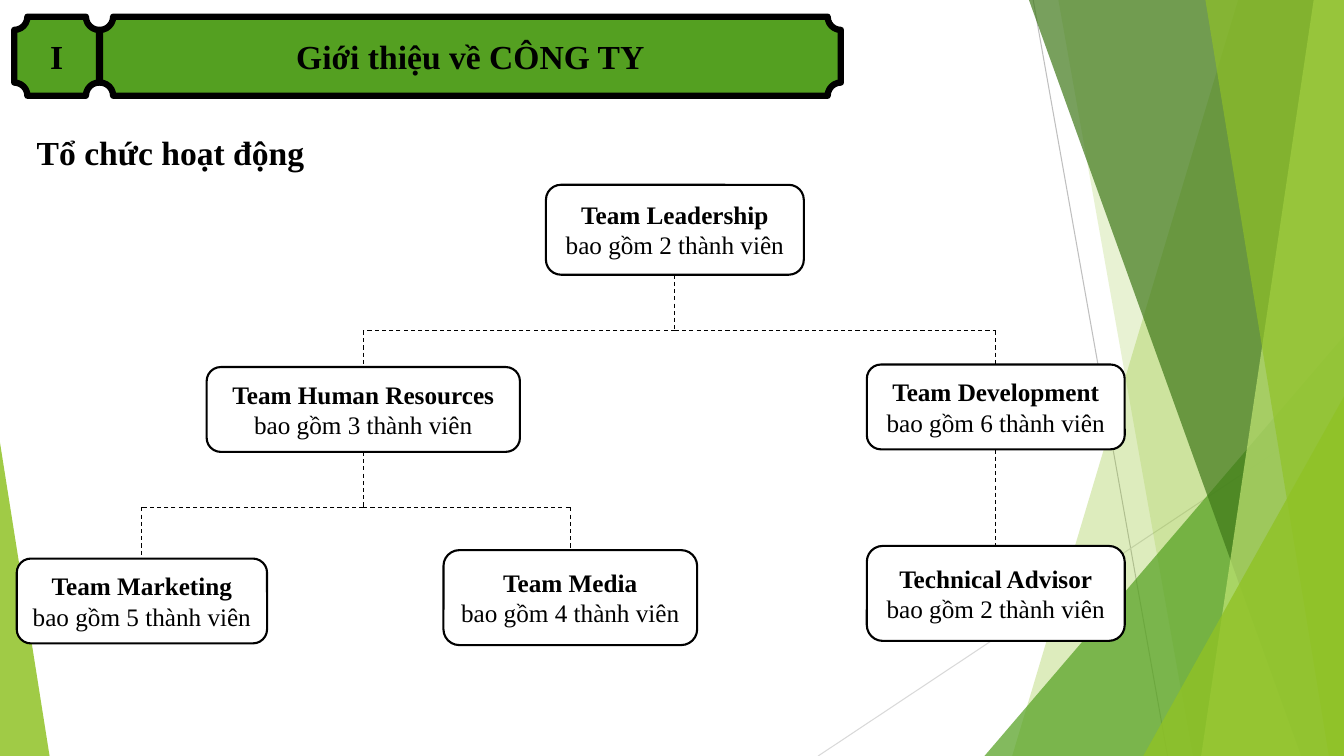
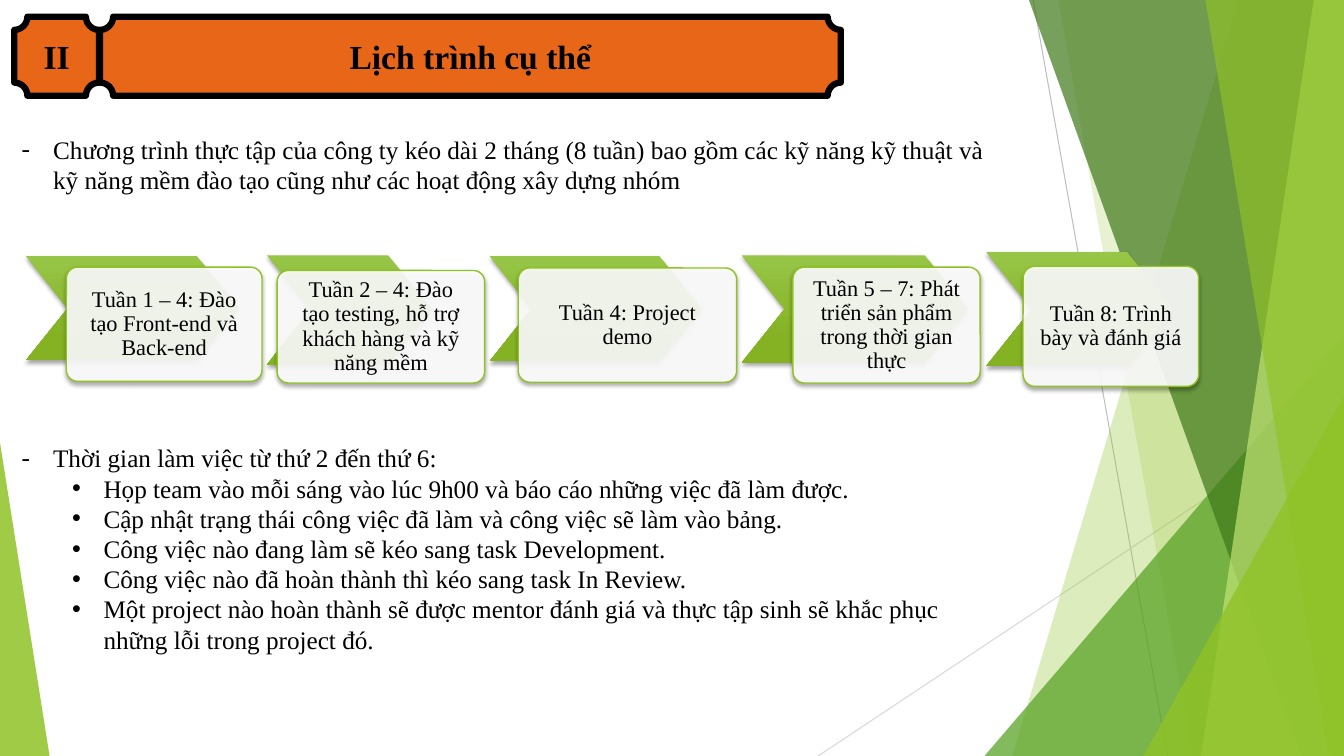
"""Build the two slides that introduce the organisation and its internship schedule."""
from lxml import etree
from pptx import Presentation
from pptx import util as u
from pptx.dml.color import RGBColor
from pptx.enum import dml, shapes, text
from pptx.oxml.ns import qn

COLUMNS, ROWS = 160, 90
CELL = u.Pt(6)
FONT = "Times New Roman"
COLORS = {
    "black": "000000",
    "white": "FFFFFF",
    "lime": "90C226",
    "green": "54A021",
    "forest": "3F7819",
    "pale": "C0E474",
    "orange": "E76618",
    "gray": "BFBFBF",
    "silver": "D9D9D9",
    "chevron_top": "97C547",
    "chevron_bottom": "84B223",
}

TEAMS = {
    "Team Leadership": ("bao gồm 2 thành viên", (65, 22, 30.7, 10.7)),
    "Team Human Resources": ("bao gồm 3 thành viên", (24.6, 43.7, 37.3, 10.1)),
    "Team Development": ("bao gồm 6 thành viên", (103.2, 43.4, 30.7, 10.1)),
    "Team Marketing": ("bao gồm 5 thành viên", (2, 66.5, 29.8, 10.1)),
    "Team Media": ("bao gồm 4 thành viên", (52.8, 65.5, 30.2, 11.3)),
    "Technical Advisor": ("bao gồm 2 thành viên", (103.2, 65, 30.7, 11.3)),
}

STEPS = [
    ("Tuần 1 – 4: Đào tạo Front-end và Back-end",
     (3.1, 30.5, 25.3, 12.4), (7.9, 31.8, 23.3, 13.6)),
    ("Tuần 2 – 4: Đào tạo testing, hỗ trợ khách hàng và kỹ năng mềm",
     (31.8, 30.4, 19.6, 13), (33, 32.2, 24.7, 13.4)),
    ("Tuần 4: Project demo",
     (58.3, 30.5, 25.2, 12.5), (61.7, 31.9, 26, 13.6)),
    ("Tuần 5 – 7: Phát triển sản phẩm trong thời gian thực",
     (88.3, 30.4, 26.9, 12.8), (94.4, 31.8, 22.3, 13.8)),
    ("Tuần 8: Trình bày và đánh giá",
     (117.4, 30, 22.2, 13.6), (121.8, 31.7, 20.9, 14.3)),
]

PROGRAM = [
    ("Chương trình thực tập của công ty kéo dài 2 tháng (8 tuần) bao gồm các kỹ năng "
     "kỹ thuật và kỹ năng mềm đào tạo cũng như các hoạt động xây dựng nhóm", 0),
]
WORKING_WEEK = [
    ("Thời gian làm việc từ thứ 2 đến thứ 6:", 0),
    ("Họp team vào mỗi sáng vào lúc 9h00 và báo cáo những việc đã làm được.", 1),
    ("Cập nhật trạng thái công việc đã làm và công việc sẽ làm vào bảng.", 1),
    ("Công việc nào đang làm sẽ kéo sang task Development.", 1),
    ("Công việc nào đã hoàn thành thì kéo sang task In Review.", 1),
    ("Một project nào hoàn thành sẽ được mentor đánh giá và thực tập sinh sẽ "
     "khắc phục những lỗi trong project đó.", 1),
]
BULLETS = [("-", FONT, 3.75), ("•", "Arial", 9.75)]
HANGING = 3.75


def grid(*cells):
    """Turn grid cells into slide lengths."""
    return [u.Emu(round(cell * CELL)) for cell in cells]


def rgb(name):
    """Look up a named colour."""
    return RGBColor.from_string(COLORS[name])


def paint(shape, fill, line=None, width=1, opacity=100):
    """Give a shape a flat fill, an optional outline and no shadow."""
    shape.shadow.inherit = False
    shape.fill.solid()
    shape.fill.fore_color.rgb = rgb(fill)
    if opacity < 100:
        color = shape.element.spPr.find(qn("a:solidFill"))[0]
        etree.SubElement(color, qn("a:alpha"), val=str(opacity * 1000))
    if line:
        shape.line.color.rgb = rgb(line)
        shape.line.width = u.Pt(width)
    else:
        shape.line.fill.background()


def cast_shadow(shape):
    """Add a soft shadow straight below a shape."""
    effects = shape.element.spPr.find(qn("a:effectLst"))
    shadow = etree.SubElement(effects, qn("a:outerShdw"), blurRad=str(u.Pt(3)),
                              dist=str(u.Pt(2)), dir="5400000", rotWithShape="0")
    color = etree.SubElement(shadow, qn("a:srgbClr"), val=COLORS["black"])
    etree.SubElement(color, qn("a:alpha"), val="35000")


def add_preset(slide, kind, box, adjustment=None):
    """Add a preset shape on the grid."""
    shape = slide.shapes.add_shape(kind, *grid(*box))
    if adjustment is not None:
        shape.adjustments[0] = adjustment
    return shape


def write(paragraph, words, size, bold=False, align=text.PP_ALIGN.LEFT):
    """Fill a paragraph and format its runs."""
    paragraph.text = words
    paragraph.alignment = align
    for run in paragraph.runs:
        run.font.name = FONT
        run.font.size = u.Pt(size)
        run.font.bold = bold
        run.font.color.rgb = rgb("black")


def write_centred(shape, lines, size):
    """Centre (words, bold) lines in a shape."""
    frame = shape.text_frame
    frame.word_wrap = True
    frame.vertical_anchor = text.MSO_ANCHOR.MIDDLE
    for index, (words, bold) in enumerate(lines):
        paragraph = frame.add_paragraph() if index else frame.paragraphs[0]
        write(paragraph, words, size, bold, text.PP_ALIGN.CENTER)


def add_line(slide, start, end, color, dashed=False):
    """Draw a thin straight line between two points."""
    line = slide.shapes.add_connector(shapes.MSO_CONNECTOR.STRAIGHT, *start, *end)
    line.line.color.rgb = rgb(color)
    line.line.width = u.Pt(0.75)
    if dashed:
        line.line.dash_style = dml.MSO_LINE.DASH
    etree.SubElement(line.element.spPr, qn("a:effectLst"))
    return line


def add_facet(slide, top, bottom, fill, opacity):
    """Add a pane whose slanted left edge runs from top to bottom of the slide."""
    points = [grid(*point) for point in
              [(top, 0), (COLUMNS, 0), (COLUMNS, ROWS), (bottom, ROWS)]]
    builder = slide.shapes.build_freeform(*points[0], scale=1.0)
    builder.add_line_segments(points[1:], close=True)
    paint(builder.convert_to_shape(), fill, opacity=opacity)


def add_corner(slide, left, top, width, apex, fill, opacity):
    """Add a right triangle that stands on the bottom edge."""
    box = (left, top, width, ROWS - top)
    triangle = add_preset(slide, shapes.MSO_SHAPE.ISOSCELES_TRIANGLE, box, apex)
    paint(triangle, fill, opacity=opacity)


def add_backdrop(slide):
    """Draw the green panes that every slide shares."""
    add_line(slide, grid(123, 0), grid(139, ROWS), "gray")
    add_line(slide, grid(COLUMNS, 48.4), grid(97.4, ROWS), "silver")
    add_facet(slide, 147.4, 120.5, "lime", 30)
    add_facet(slide, 126, 142, "lime", 20)
    add_corner(slide, 117.2, 40, 42.8, 1, "green", 72)
    add_facet(slide, 122.5, 154.9, "forest", 70)
    add_facet(slide, 156.4, 143, "pale", 70)
    add_facet(slide, 143.5, 158.2, "lime", 65)
    add_corner(slide, 136.1, 47.2, 23.9, 1, "lime", 80)
    add_corner(slide, 0, 52.7, 5.9, 0, "lime", 85)


def add_banner(slide, number, title, fill):
    """Add the section number and title plaques."""
    for words, left, width in [(number, 1.7, 10.1), (title, 11.9, 88.2)]:
        plaque = add_preset(slide, shapes.MSO_SHAPE.PLAQUE, (left, 2, width, 9.4))
        paint(plaque, fill, "black", 4.5)
        write_centred(plaque, [(words, True)], 24)


def start_slide(presentation, number, title, fill):
    """Add a blank slide with the backdrop and a banner."""
    slide = presentation.slides.add_slide(presentation.slide_layouts[6])
    add_backdrop(slide)
    add_banner(slide, number, title, fill)
    return slide


def add_heading(slide, words, box):
    """Add a bold one-line heading."""
    frame = slide.shapes.add_textbox(*grid(*box)).text_frame
    frame.word_wrap = False
    write(frame.paragraphs[0], words, 24, bold=True)


def add_list(slide, items, box):
    """Add a bulleted list of (words, level) items."""
    frame = slide.shapes.add_textbox(*grid(*box)).text_frame
    frame.word_wrap = True
    for index, (words, level) in enumerate(items):
        paragraph = frame.add_paragraph() if index else frame.paragraphs[0]
        paragraph.level = level
        mark, typeface, margin = BULLETS[level]
        indent, hanging = grid(margin, -HANGING)
        properties = paragraph._p.get_or_add_pPr()
        properties.set("marL", str(indent))
        properties.set("indent", str(hanging))
        etree.SubElement(properties, qn("a:buFont"), typeface=typeface)
        etree.SubElement(properties, qn("a:buChar"), char=mark)
        write(paragraph, words, 18)


def add_team(slide, name, members, box):
    """Add one box of the organisation chart."""
    team = add_preset(slide, shapes.MSO_SHAPE.ROUNDED_RECTANGLE, box)
    paint(team, "white", "black", 1.5)
    write_centred(team, [(name, True), (members, False)], 18)
    return team


def middle(shape):
    """Return the horizontal centre of a shape."""
    return shape.left + shape.width // 2


def join_teams(slide, parent, children, row):
    """Branch dashed lines from a parent to its children at a grid row."""
    branch, = grid(row)
    fork = (middle(parent), branch)
    stem = add_line(slide, fork, fork, "black", dashed=True)
    stem.begin_connect(parent, 2)
    for child in children:
        turn = (middle(child), branch)
        add_line(slide, fork, turn, "black", dashed=True)
        drop = add_line(slide, turn, turn, "black", dashed=True)
        drop.end_connect(child, 0)


def add_step(slide, words, arrow_box, card_box):
    """Add a chevron with its text card on top."""
    arrow = add_preset(slide, shapes.MSO_SHAPE.CHEVRON, arrow_box, 0.4)
    paint(arrow, "lime")
    arrow.fill.gradient()
    arrow.fill.gradient_angle = 270
    stops = zip(arrow.fill.gradient_stops, ["chevron_top", "chevron_bottom"], [0, 0.78])
    for stop, color, position in stops:
        stop.color.rgb = rgb(color)
        stop.position = position
    card = add_preset(slide, shapes.MSO_SHAPE.ROUNDED_RECTANGLE, card_box, 0.1)
    paint(card, "white", "lime", 1, opacity=90)
    write_centred(card, [(words, False)], 16)
    frame = card.text_frame
    frame.margin_left = frame.margin_right = frame.margin_top = frame.margin_bottom = grid(1.44)[0]
    frame.paragraphs[0].line_spacing = 0.9
    for shape in (arrow, card):
        cast_shadow(shape)


def build_organisation(presentation):
    """Build the organisation chart slide."""
    slide = start_slide(presentation, "I", "Giới thiệu về CÔNG TY", "green")
    add_heading(slide, "Tổ chức hoạt động", (3.2, 15.1, 34.6, 6))
    leadership, resources, development, marketing, media, advisor = [
        add_team(slide, name, members, box) for name, (members, box) in TEAMS.items()]
    join_teams(slide, leadership, [resources, development], 39.4)
    join_teams(slide, resources, [marketing, media], 60.4)
    link = add_line(slide, (0, 0), (0, 0), "black", dashed=True)
    link.begin_connect(development, 2)
    link.end_connect(advisor, 0)


def build_schedule(presentation):
    """Build the internship schedule slide."""
    slide = start_slide(presentation, "II", "Lịch trình cụ thể", "orange")
    add_list(slide, PROGRAM, (1.4, 15.4, 117.1, 8.5))
    for step in STEPS:
        add_step(slide, *step)
    add_list(slide, WORKING_WEEK, (1.4, 52.1, 117.1, 26.6))


def main():
    """Build and save the presentation."""
    presentation = Presentation()
    presentation.slide_width, presentation.slide_height = grid(COLUMNS, ROWS)
    build_organisation(presentation)
    build_schedule(presentation)
    presentation.save("out.pptx")


if __name__ == "__main__":
    main()
